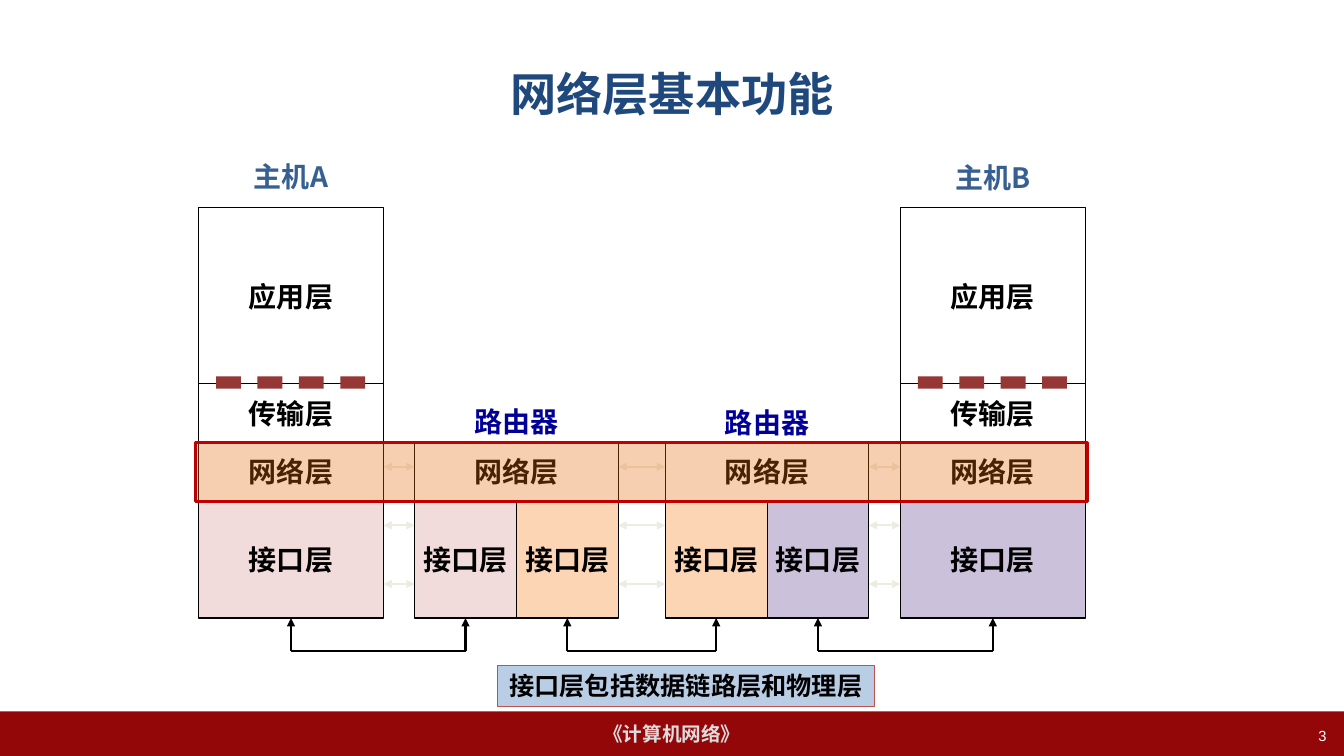
from dataclasses import dataclass

from lxml import etree
from pptx import Presentation
from pptx.dml.color import RGBColor
from pptx.enum.shapes import MSO_CONNECTOR, MSO_SHAPE
from pptx.enum.text import MSO_ANCHOR, MSO_AUTO_SIZE, PP_ALIGN
from pptx.oxml.ns import qn
from pptx.util import Emu, Inches, Pt

RECTANGLE = MSO_SHAPE.RECTANGLE
STRAIGHT = MSO_CONNECTOR.STRAIGHT
MIDDLE = MSO_ANCHOR.MIDDLE
NO_AUTOFIT = MSO_AUTO_SIZE.NONE
CENTER, RIGHT = PP_ALIGN.CENTER, PP_ALIGN.RIGHT
BOTTOM_SIDE = 2
TITLE_ONLY = 5


@dataclass(frozen=True)
class Theme:
    cjk: str = "Noto Sans CJK SC"
    latin: str = "Arial"
    title_size: float = 33
    layer_size: float = 20
    note_size: float = 18
    footer_size: float = 14
    page_size: float = 10.5
    black: str = "000000"
    white: str = "FFFFFF"
    title: str = "1F497D"
    host: str = "376092"
    router: str = "000099"
    pink: str = "F2DCDB"
    orange: str = "FCD5B5"
    purple: str = "CCC1DA"
    peer_link: str = "EEECE1"
    dash: str = "953735"
    band: str = "E46C0A"
    band_edge: str = "C00000"
    note: str = "B9CDE5"
    note_edge: str = "C0504D"
    footer: str = "940709"
    footer_text: str = "DDDDDD"


@dataclass(frozen=True)
class Area:
    """Left, top, width and height in percent of the slide's size."""
    left: float
    top: float
    width: float
    height: float


@dataclass(frozen=True)
class Node:
    name: str
    left: float
    width: float
    label_top: float
    label_color: str
    interfaces: tuple[str, ...]
    is_host: bool = False

    @property
    def right(self) -> float:
        return self.left + self.width


THEME = Theme()
STACK_TOP, ROW = 27.5, 7.75
NETWORK_TOP = STACK_TOP + 4 * ROW
BRACKET_Y = 86.1
HOST_LAYERS = (("应用层", 0, 3), ("传输层", 3, 1))  # name, first row, rows
NODES = (
    Node("主机A", 14.78, 13.75, 20.4, THEME.host, (THEME.pink,), True),
    Node("路由器", 30.85, 15.15, 52.75, THEME.router, (THEME.pink, THEME.orange)),
    Node("路由器", 49.5, 15.15, 52.95, THEME.router, (THEME.orange, THEME.purple)),
    Node("主机B", 67, 13.75, 20.5, THEME.host, (THEME.purple,), True),
)

deck = Presentation()
deck.slide_width, deck.slide_height = Inches(13.33), Inches(7.5)
slide = deck.slides.add_slide(deck.slide_layouts[TITLE_ONLY])


def across(share: float) -> Emu:
    return Emu(round(deck.slide_width * share / 100))


def down(share: float) -> Emu:
    return Emu(round(deck.slide_height * share / 100))


def frame(area: Area) -> tuple[Emu, Emu, Emu, Emu]:
    return across(area.left), down(area.top), across(area.width), down(area.height)


def write(target, text: str, *, size: float = THEME.layer_size, color: str = THEME.black,
          font: str = THEME.cjk, bold: bool = True, align=CENTER) -> None:
    box = target.text_frame
    box.auto_size = NO_AUTOFIT
    box.word_wrap = True
    box.vertical_anchor = MIDDLE
    box.margin_left = box.margin_right = 0
    paragraph = box.paragraphs[0]
    paragraph.alignment = align
    run = paragraph.add_run()
    run.text = text
    run.font.size, run.font.bold, run.font.name = Pt(size), bold, font
    run.font.color.rgb = RGBColor.from_string(color)
    east_asian = etree.Element(qn("a:ea"), typeface=THEME.cjk)
    run.font._element.find(qn("a:latin")).addnext(east_asian)


def label(area: Area, text: str, **text_format) -> None:
    write(slide.shapes.add_textbox(*frame(area)), text, **text_format)


def block(area: Area, fill: str, *, edge: str = "", edge_width: float = 0.75,
          opacity: int = 100):
    shape = slide.shapes.add_shape(RECTANGLE, *frame(area))
    shape.shadow.inherit = False
    shape.fill.solid()
    shape.fill.fore_color.rgb = RGBColor.from_string(fill)
    if opacity < 100:
        color = shape.fill._xPr.find(qn("a:solidFill"))[0]
        etree.SubElement(color, qn("a:alpha"), val=str(opacity * 1000))
    if edge:
        shape.line.color.rgb = RGBColor.from_string(edge)
        shape.line.width = Pt(edge_width)
    else:
        shape.line.fill.background()
    return shape


def layer(text: str, area: Area, fill: str = THEME.white):
    shape = block(area, fill, edge=THEME.black)
    write(shape, text)
    return shape


def connect(start: tuple[Emu, Emu], end: tuple[Emu, Emu], color: str,
            arrowheads: tuple[str, ...] = ()):
    connector = slide.shapes.add_connector(STRAIGHT, *start, *end)
    connector.line.color.rgb = RGBColor.from_string(color)
    connector.line.width = Pt(1.5)
    for arrowhead in arrowheads:
        etree.SubElement(connector.line._ln, qn(arrowhead), type="triangle")
    etree.SubElement(connector._element.spPr, qn("a:effectLst"))
    return connector


def draw_node(node: Node) -> list:
    """Draw one protocol stack and return its interface blocks."""
    label(Area(node.left, node.label_top, node.width, 5.87), node.name,
          color=node.label_color)
    if node.is_host:
        for name, first_row, rows in HOST_LAYERS:
            layer(name, Area(node.left, STACK_TOP + first_row * ROW, node.width, rows * ROW))
        for step in range(4):
            block(Area(node.left + 1.3 + step * 3.08, 49.8, 1.85, 1.6), THEME.dash)
    layer("网络层", Area(node.left, NETWORK_TOP, node.width, ROW))
    share = node.width / len(node.interfaces)
    return [layer("接口层", Area(node.left + place * share, NETWORK_TOP + ROW, share, 2 * ROW), fill)
            for place, fill in enumerate(node.interfaces)]


def draw_bracket(first, second) -> None:
    """Join the undersides of two interfaces that share a link."""
    corners = [(Emu(side.left + side.width // 2), down(BRACKET_Y)) for side in (first, second)]
    connect(*corners, THEME.black)
    for corner, interface in zip(corners, (first, second)):
        arrow = connect(corner, (corner[0], interface.top + interface.height),
                        THEME.black, ("a:tailEnd",))
        arrow.end_connect(interface, BOTTOM_SIDE)


# Title
heading = slide.shapes.title
heading.left, heading.top, heading.width, heading.height = frame(Area(5, 4, 90, 16.67))
write(heading, "网络层基本功能", size=THEME.title_size, color=THEME.title, font=THEME.latin)

# Footer and page number
footer = block(Area(0, 94.1, 100, 5.9), THEME.footer)
write(footer, "《计算机网络》", size=THEME.footer_size, color=THEME.footer_text, font=THEME.latin)
label(Area(76.1, 95.3, 22.6, 4.1), "3", size=THEME.page_size, color=THEME.white,
      font=THEME.latin, bold=False, align=RIGHT)

# Peer links between neighbouring stacks
for near, far in zip(NODES, NODES[1:]):
    for level in range(3):
        y = down(61.75 + level * ROW)
        connect((across(near.right), y), (across(far.left), y), THEME.peer_link,
                ("a:headEnd", "a:tailEnd"))

# Protocol stacks and the links under them
interfaces = [interface for node in NODES for interface in draw_node(node)]
for first, second in zip(interfaces[::2], interfaces[1::2]):
    draw_bracket(first, second)

# Network layer highlight and note
block(Area(14.55, 58.5, 66.4, 7.85), THEME.band, edge=THEME.band_edge, edge_width=2.25,
      opacity=32)
note = block(Area(37, 88, 28.05, 5.4), THEME.note, edge=THEME.note_edge)
write(note, "接口层包括数据链路层和物理层", size=THEME.note_size)

deck.save("out.pptx")
